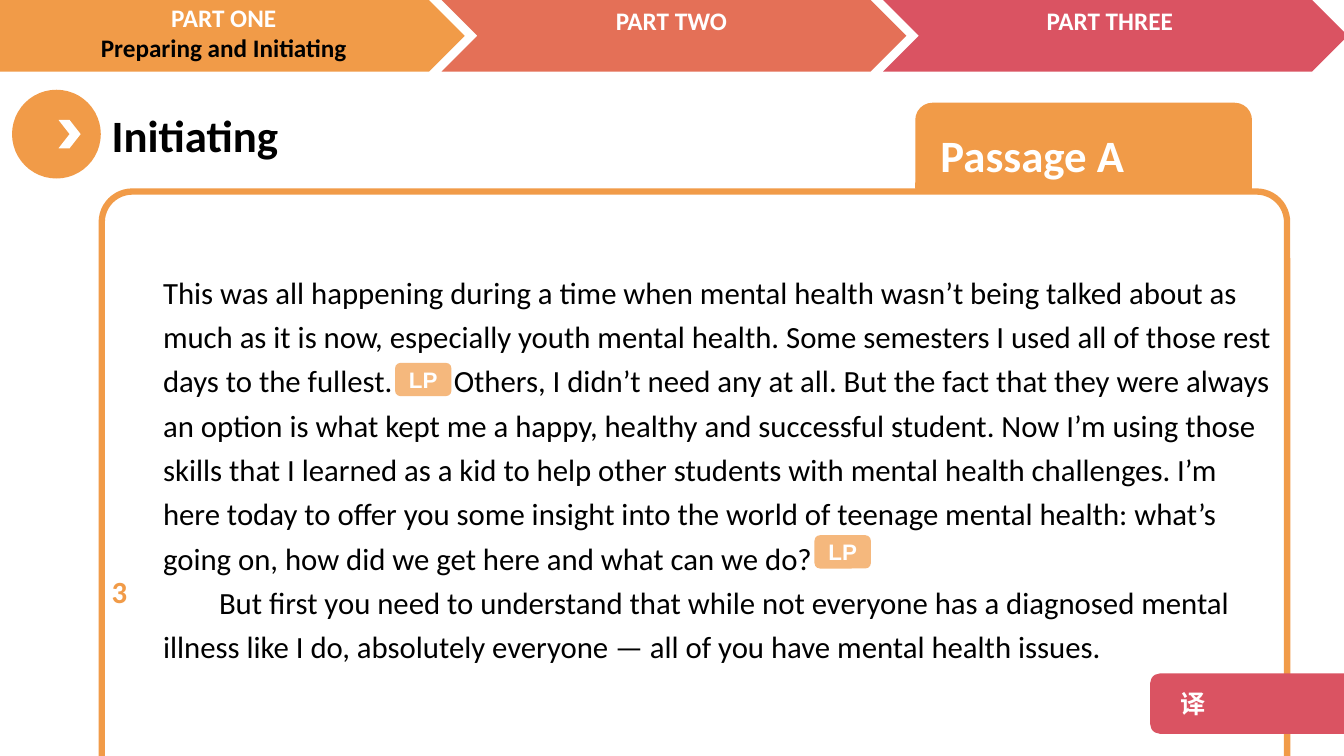
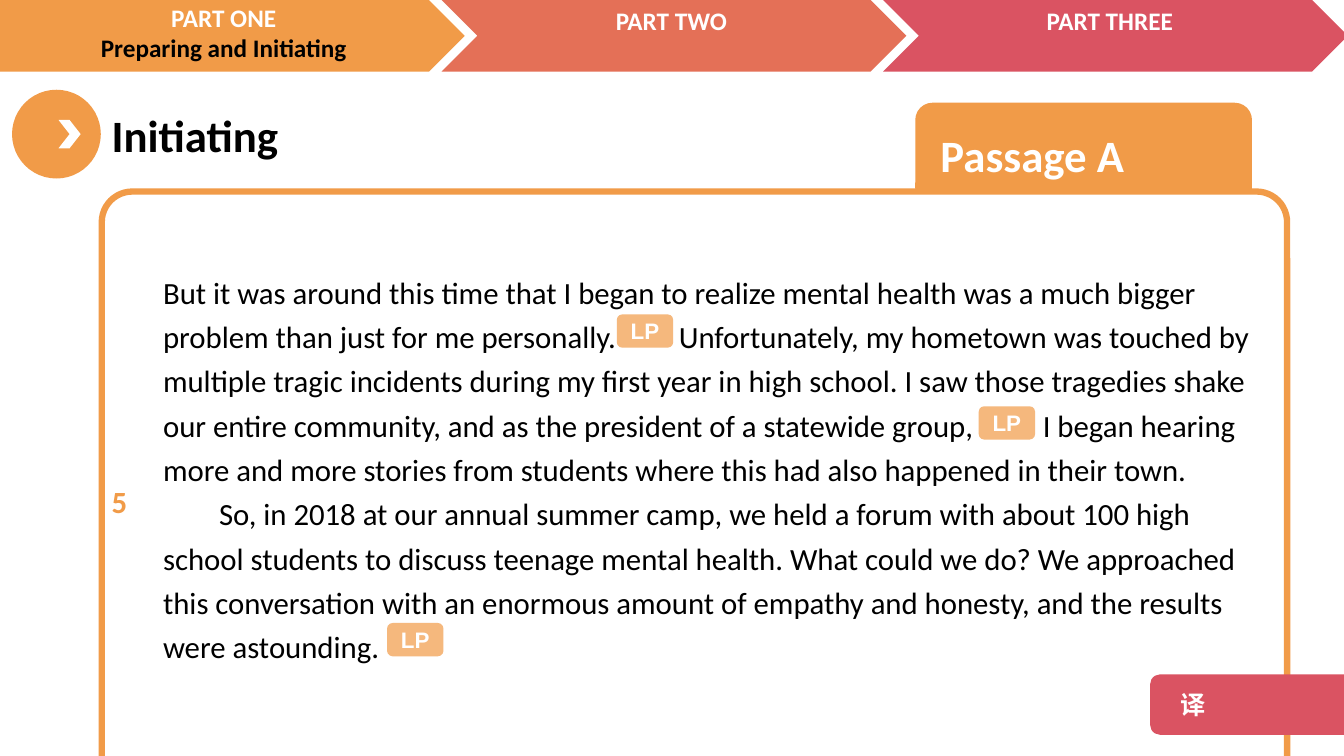
from lxml.etree import SubElement
from pptx import Presentation
from pptx.dml.color import RGBColor
from pptx.enum.shapes import MSO_SHAPE
from pptx.enum.text import MSO_ANCHOR, PP_ALIGN
from pptx.oxml.ns import qn
from pptx.util import Pt

# Content
PASSAGES = [
    {
        "paragraphs": [
            "This was all happening during a time when mental health wasn’t being talked about "
            "as much as it is now, especially youth mental health. Some semesters I used all of "
            "those rest days to the fullest.\tOthers, I didn’t need any at all. But the fact that "
            "they were always an option is what kept me a happy, healthy and successful student. "
            "Now I’m using those skills that I learned as a kid to help other students with mental "
            "health challenges. I’m here today to offer you some insight into the world of teenage "
            "mental health: what’s going on, how did we get here and what can we do?",
            "But first you need to understand that while not everyone has a diagnosed mental "
            "illness like I do, absolutely everyone — all of you have mental health issues.",
        ],
        "tab_stops": [207.7],
        "number": ("3", 400),
        "language_points": [(282.2, 259.2), (581.8, 382.3)],
        "translation_top": 481,
    },
    {
        "paragraphs": [
            "But it was around this time that I began to realize mental health was a much bigger "
            "problem than just for me personally.\tUnfortunately, my hometown was touched by "
            "multiple tragic incidents during my first year in high school. I saw those tragedies "
            "shake our entire community, and as the president of a statewide group,\tI began "
            "hearing more and more stories from students where this had also happened in their "
            "town.",
            "So, in 2018 at our annual summer camp, we held a forum with about 100 high school "
            "students to discuss teenage mental health. What could we do? We approached this "
            "conversation with an enormous amount of empathy and honesty, and the results were "
            "astounding.",
        ],
        "tab_stops": [368.4, 628.4],
        "number": ("5", 336),
        "language_points": [(440.6, 224.6), (699.1, 290.2), (276.5, 445)],
        "translation_top": 481.7,
    },
]

# Part titles, colour of the band, left and top of the label
PARTS = [
    (["PART ONE", "Preparing and Initiating"], "orange", -4.3, -2),
    (["PART TWO"], "coral", 315.4, 0),
    (["PART THREE"], "rose", 628.6, 0),
]

# Shared style
COLORS = {
    "orange": "F19B48",
    "coral": "E47057",
    "rose": "DA5362",
    "white": "FFFFFF",
    "black": "000000",
}
BAND_PITCH, BAND_WIDTH, BAND_HEIGHT, BAND_BLEED = 315.4, 332, 51.1, 44
LABEL_WIDTH = 328.3
BODY_SIZE, BODY_SPACING, FIRST_INDENT = 22, 1.2, 40


def color(name):
    return RGBColor.from_string(COLORS[name])


def add_block(slide, kind, box, fill, line_width=0):
    shape = slide.shapes.add_shape(kind, *map(Pt, box))
    shape.shadow.inherit = False
    shape.fill.solid()
    shape.fill.fore_color.rgb = color(fill)
    if line_width:
        shape.line.color.rgb = color("orange")
        shape.line.width = Pt(line_width)
    else:
        shape.line.fill.background()
    return shape


def write(shape, lines, size, colors, bold=True, font="Calibri",
          align=PP_ALIGN.LEFT, spacing=None):
    """Fill a shape with one paragraph per line; colors has one name per line."""
    text_frame = shape.text_frame
    text_frame.word_wrap = True
    text_frame.text = "\n".join(lines)
    for paragraph, name in zip(text_frame.paragraphs, colors):
        paragraph.alignment = align
        if spacing:
            paragraph.line_spacing = spacing
        for run in paragraph.runs:
            run.font.size = Pt(size)
            run.font.bold = bold
            run.font.name = font
            run.font.color.rgb = color(name)
            SubElement(run.font._element, qn("a:ea"), typeface=font)
    return text_frame


def add_text(slide, box, lines, size, colors, **style):
    return write(slide.shapes.add_textbox(*map(Pt, box)), lines, size, colors, **style)


def add_frame(slide):
    # Passage tab, section title and card
    tab = add_block(slide, MSO_SHAPE.ROUNDED_RECTANGLE, (653.8, 73.4, 240.5, 73.4), "orange")
    text_frame = write(tab, ["Passage A"], 32, ["white"])
    text_frame.margin_left = Pt(14.4)
    text_frame.vertical_anchor = MSO_ANCHOR.MIDDLE
    add_block(slide, MSO_SHAPE.OVAL, (8.6, 64.1, 63.4, 63.4), "orange")
    add_text(slide, (72.7, 73.4, 349.2, 46), ["Initiating"], 32, ["black"])
    card = add_block(slide, MSO_SHAPE.ROUNDED_RECTANGLE, (72.7, 136.8, 846.7, 464.4),
                     "white", line_width=4.5)
    card.adjustments[0] = 0.047

    # Chevron bands, the first one bleeding off the left edge
    for index, (lines, fill, left, top) in enumerate(PARTS):
        bleed = 0 if index else BAND_BLEED
        add_block(slide, MSO_SHAPE.CHEVRON,
                  (index * BAND_PITCH - bleed, 0, BAND_WIDTH + bleed, BAND_HEIGHT), fill)
        add_text(slide, (left, top, LABEL_WIDTH, BAND_HEIGHT), lines, 18,
                 ["white", "black"], align=PP_ALIGN.CENTER)
    add_block(slide, MSO_SHAPE.CHEVRON, (41.8, 85.7, 15.8, 20.2), "white")


def add_passage(slide, passage):
    # Body text, with tab stops leaving room for the tags
    body = add_text(slide, (109.4, 186.4, 810, 292), passage["paragraphs"], BODY_SIZE,
                    ["black"] * 2, bold=False, spacing=BODY_SPACING)
    opening, following = body.paragraphs
    tab_list = SubElement(opening._p.get_or_add_pPr(), qn("a:tabLst"))
    for position in passage["tab_stops"]:
        SubElement(tab_list, qn("a:tab"), pos=str(int(Pt(position))), algn="l")
    following._p.get_or_add_pPr().set("indent", str(int(Pt(FIRST_INDENT))))

    # Paragraph number
    number, top = passage["number"]
    add_text(slide, (72.7, top, 36.7, 39), [number], BODY_SIZE, ["orange"],
             spacing=BODY_SPACING)

    # Language point tags
    for left, top in passage["language_points"]:
        tag = add_block(slide, MSO_SHAPE.ROUNDED_RECTANGLE, (left, top, 40.3, 23.8), "orange")
        fill_color = tag._element.spPr.find(qn("a:solidFill"))[0]
        SubElement(fill_color, qn("a:alpha"), val="71000")
        text_frame = write(tag, ["LP"], 16, ["white"], font="Arial", align=PP_ALIGN.CENTER)
        text_frame.vertical_anchor = MSO_ANCHOR.MIDDLE
        text_frame.margin_left = text_frame.margin_right = 0

    # Translation tab
    translation = add_block(slide, MSO_SHAPE.ROUNDED_RECTANGLE,
                            (821.5, passage["translation_top"], 153.4, 43.2), "rose")
    text_frame = write(translation, ["译"], 18, ["white"], font="Noto Sans CJK SC")
    text_frame.margin_left = Pt(19.5)
    text_frame.vertical_anchor = MSO_ANCHOR.MIDDLE


def main():
    presentation = Presentation()
    presentation.slide_width, presentation.slide_height = Pt(960), Pt(540)
    for passage in PASSAGES:
        slide = presentation.slides.add_slide(presentation.slide_layouts[6])
        add_frame(slide)
        add_passage(slide, passage)
    presentation.save("out.pptx")


if __name__ == "__main__":
    main()
